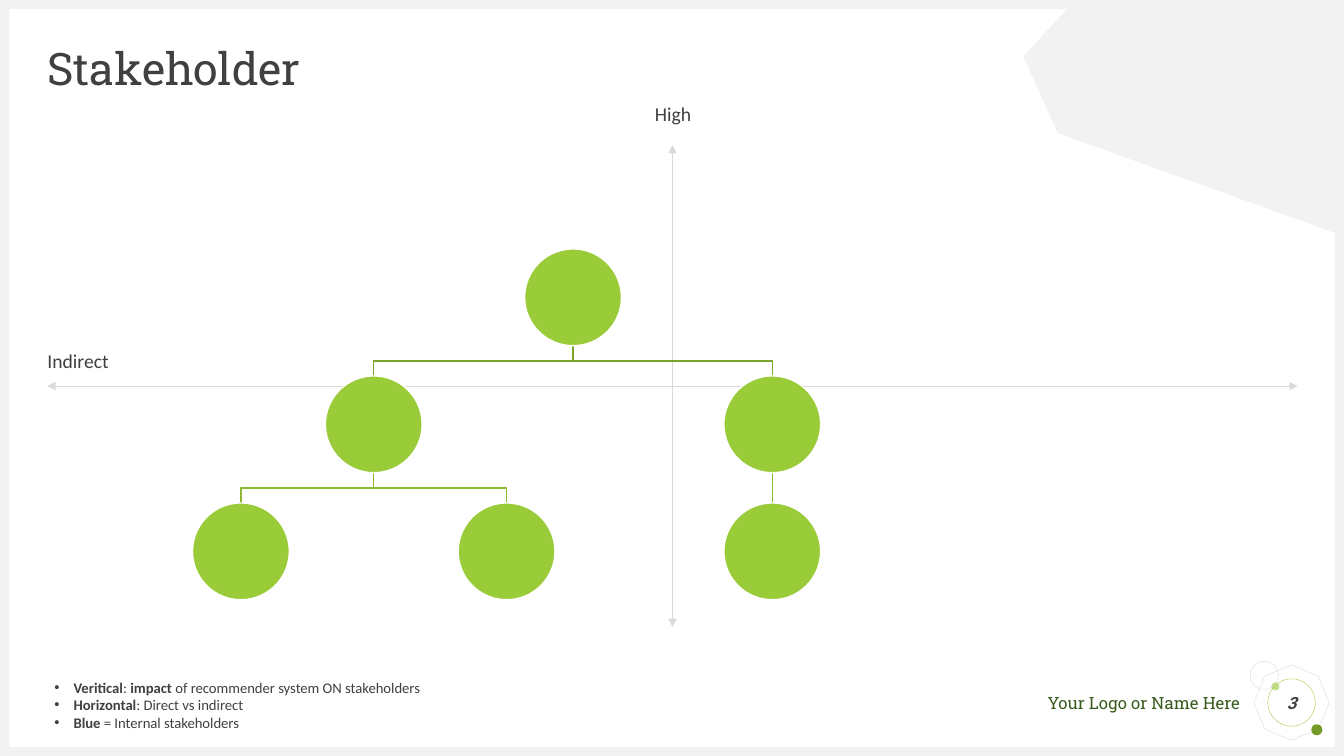
from dataclasses import dataclass

from lxml.etree import SubElement
from pptx import Presentation
from pptx.dml.color import RGBColor
from pptx.enum.shapes import MSO_CONNECTOR, MSO_SHAPE
from pptx.enum.text import MSO_ANCHOR, PP_ALIGN
from pptx.oxml.ns import qn
from pptx.util import Inches, Pt


@dataclass(frozen=True)
class Theme:
    frame: str = "F2F2F2"
    rule: str = "D9D9D9"
    text: str = "404040"
    brand: str = "375C1E"
    green: str = "9ACB39"
    light_green: str = "C2E088"
    dark_green: str = "749A29"
    branches: tuple = ("7BA32E", "8CB834")
    white: str = "FFFFFF"
    heading: str = "Roboto Slab"
    body: str = "Calibri"
    title_size: float = 32
    label_size: float = 14
    footer_size: float = 12
    note_size: float = 10.5


T = Theme()
WIDTH, HEIGHT = 13.33, 7.5
MARGIN = 0.47


def rgb(value):
    return RGBColor.from_string(value)


def style(sp, fill=None, line=None, weight=0.25):
    sp.shadow.inherit = False
    if fill:
        sp.fill.solid()
        sp.fill.fore_color.rgb = rgb(fill)
    else:
        sp.fill.background()
    if line:
        sp.line.color.rgb = rgb(line)
        sp.line.width = Pt(weight)
    else:
        sp.line.fill.background()
    return sp


def add_shape(s, kind, box, **look):
    return style(s.shapes.add_shape(kind, *map(Inches, box)), **look)


def add_circle(s, x, y, size, **look):
    box = (x - size / 2, y - size / 2, size, size)
    return add_shape(s, MSO_SHAPE.OVAL, box, **look)


def add_outline(s, points, closed=False, **look):
    points = [(Inches(x), Inches(y)) for x, y in points]
    builder = s.shapes.build_freeform(*points[0])
    builder.add_line_segments(points[1:], close=closed)
    return style(builder.convert_to_shape(), **look)


def add_line(s, start, end, color, weight, arrows=False):
    c = s.shapes.add_connector(MSO_CONNECTOR.STRAIGHT, *map(Inches, start + end))
    c.line.color.rgb = rgb(color)
    c.line.width = Pt(weight)
    if arrows:
        for tag in ("a:headEnd", "a:tailEnd"):
            SubElement(c.line._get_or_add_ln(), qn(tag), type="triangle")
    SubElement(c._element.spPr, qn("a:effectLst"))


def write(sp, paragraphs, size, font=T.body, color=T.text, align=PP_ALIGN.LEFT,
          anchor=MSO_ANCHOR.TOP, bold=False, italic=False, spacing=None, bullet=None):
    """Each paragraph is a list of runs; a run marked with * is bold."""
    tf = sp.text_frame
    tf.word_wrap = True
    tf.vertical_anchor = anchor
    tf.margin_left = tf.margin_right = tf.margin_top = tf.margin_bottom = 0
    for i, runs in enumerate(paragraphs):
        p = tf.paragraphs[0] if i == 0 else tf.add_paragraph()
        p.alignment = align
        if spacing:
            p.line_spacing = spacing
        if bullet:
            pPr = p._p.get_or_add_pPr()
            pPr.set("marL", str(Inches(0.19)))
            pPr.set("indent", str(-Inches(0.19)))
            SubElement(pPr, qn("a:buFont"), typeface="Arial")
            SubElement(pPr, qn("a:buChar"), char=bullet)
        for text in runs:
            r = p.add_run()
            r.text = text.lstrip("*")
            r.font.name = font
            r.font.size = Pt(size)
            r.font.bold = bold or text.startswith("*")
            r.font.italic = italic
            r.font.color.rgb = rgb(color)


def add_text(s, box, paragraphs, **fmt):
    write(s.shapes.add_textbox(*map(Inches, box)), paragraphs, **fmt)


def add_frame(s, width, height, edge=0.09):
    for box in ((0, height - edge, width, edge), (0, 0, width, edge),
                (0, 0, edge, height), (width - edge, 0, edge, height)):
        add_shape(s, MSO_SHAPE.RECTANGLE, box, fill=T.frame)
    # Corner facet
    right = width - edge
    add_outline(s, [(10.61, 0.06), (right, 0.06), (right, 2.31), (10.49, 1.32),
                    (10.15, 0.56)], closed=True, fill=T.frame)


def add_badge(s, x, y, number):
    """Footer name and page number around the centre x, y."""
    octagon = add_shape(s, MSO_SHAPE.OCTAGON, (x - 0.345, y - 0.345, 0.69, 0.69), line=T.rule)
    octagon.rotation = 22.7
    add_circle(s, x - 0.16, y - 0.16, 0.08, fill=T.light_green)
    add_circle(s, x + 0.25, y + 0.27, 0.11, fill=T.dark_green)
    add_circle(s, x - 0.27, y - 0.27, 0.28, line=T.rule)
    add_text(s, (x - 3.26, y - 0.1, 2.75, 0.2), [["Your Logo or Name Here"]],
             size=T.footer_size, font=T.heading, color=T.brand, align=PP_ALIGN.RIGHT)
    write(add_circle(s, x, y, 0.47, line=T.green), [[number]], size=T.footer_size,
          font=T.heading, align=PP_ALIGN.CENTER, anchor=MSO_ANCHOR.MIDDLE,
          bold=True, italic=True)


def add_axes(s, left, top, width, height):
    x, y = left + width / 2, top + height / 2
    add_line(s, (x, top), (x, top + height), T.rule, 0.5, arrows=True)
    add_line(s, (left + width, y), (left, y), T.rule, 0.5, arrows=True)
    add_text(s, (x - 1.08, top - 0.4, 2.17, 0.28), [["High"]],
             size=T.label_size, align=PP_ALIGN.CENTER, spacing=0.9)
    add_text(s, (left, y - 0.34, 2.17, 0.28), [["Indirect"]],
             size=T.label_size, spacing=0.9)


def add_tree(s, left, top, size=0.96, column=2.635, row=1.26):
    """Leaves stand one column apart; each parent is centred over its children."""
    leaves = [(left + size / 2 + i * column, []) for i in range(3)]

    def parent(*children):
        return sum(x for x, _ in children) / len(children), children

    root = parent(parent(*leaves[:2]), parent(leaves[2]))

    def add_branches(node, level=0):
        x, children = node
        start = top + level * row + size
        end = top + (level + 1) * row
        middle = (start + end) / 2
        for child in children:
            if child[0] == x:
                add_line(s, (x, start), (x, end), T.branches[level], 1)
            else:
                add_outline(s, [(x, start), (x, middle), (child[0], middle), (child[0], end)],
                            line=T.branches[level], weight=1)
            add_branches(child, level + 1)

    def add_nodes(node, level=0):
        x, children = node
        add_circle(s, x, top + level * row + size / 2, size,
                   fill=T.green, line=T.white, weight=1)
        for child in children:
            add_nodes(child, level + 1)

    add_branches(root)
    add_nodes(root)


def add_legend(s, box):
    add_text(s, box, [
        ["*Veritical", ": ", "*impact", " of recommender system ON stakeholders"],
        ["*Horizontal", ": Direct vs indirect"],
        ["*Blue", " = Internal stakeholders"],
    ], size=T.note_size, bullet="•")


def main():
    prs = Presentation()
    prs.slide_width, prs.slide_height = Inches(WIDTH), Inches(HEIGHT)
    s = prs.slides.add_slide(prs.slide_layouts[6])
    add_frame(s, WIDTH, HEIGHT)
    add_axes(s, MARGIN, 1.44, 12.4, 4.78)
    add_text(s, (MARGIN, 0.47, 12.4, 0.47), [["Stakeholder"]], size=T.title_size,
             font=T.heading, anchor=MSO_ANCHOR.MIDDLE, spacing=0.9)
    add_badge(s, 12.81, 6.97, "3")
    add_legend(s, (0.54, 6.73, 3.91, 0.62))
    add_tree(s, 1.91, 2.47)
    prs.save("out.pptx")


if __name__ == "__main__":
    main()
